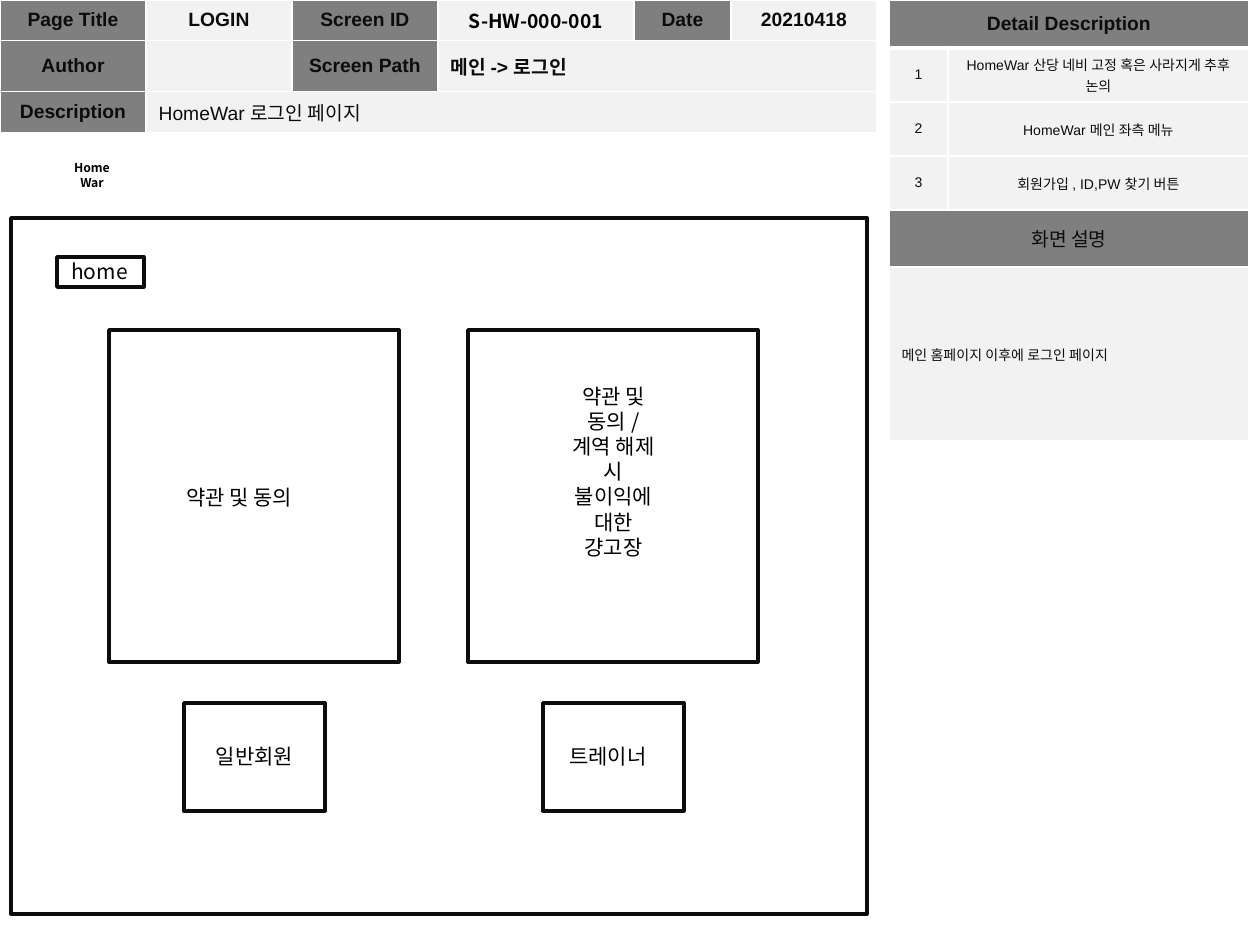
from lxml import etree
from pptx import Presentation
from pptx import util as u
from pptx.dml.color import RGBColor
from pptx.enum import shapes, text
from pptx.oxml.ns import qn

PX = 914400 // 126
INK, BLACK, WHITE = "0C0C0C", "000000", "FFFFFF"
DARK, PALE = "7F7F7F", "F2F2F2"
SANS, KOR = "Arial", "Noto Sans CJK KR"
MID, LEFT = text.PP_ALIGN.CENTER, text.PP_ALIGN.LEFT


def px(*vals):
    """Turn pixel lengths into EMU."""
    return [u.Emu(v * PX) for v in vals]


def paint(color, code):
    """Set a fill or font colour from a hex string."""
    color.rgb = RGBColor.from_string(code)


def write(frame, words, size, font=SANS, code=INK, bold=False, align=MID):
    """Write one paragraph, breaking lines at newlines."""
    para = frame.paragraphs[0]
    para.alignment = align
    for i, line in enumerate(words.split("\n")):
        if i:
            para.add_line_break()
        run = para.add_run()
        run.text = line
        run.font.size, run.font.bold, run.font.name = u.Pt(size), bold, font
        paint(run.font.color, code)
        east = etree.SubElement(run.font._element, qn("a:ea"))
        east.set("typeface", KOR)


def edge(cell, sides="LRTB", **wide):
    """Draw white borders on the given sides of a cell."""
    props = cell._tc.get_or_add_tcPr()
    for side in sides:
        line = etree.SubElement(props, qn(f"a:ln{side}"))
        line.set("w", str(u.Pt(wide.get(side, 1))))
        fill = etree.SubElement(line, qn("a:solidFill"))
        etree.SubElement(fill, qn("a:srgbClr")).set("val", WHITE)


def cell_at(grid, row, col, back, words="", size=11, span=1, **style):
    """Fill one table cell and merge it across its span."""
    cell = grid.cell(row, col)
    if span > 1:
        cell.merge(grid.cell(row, col + span - 1))
    cell.fill.solid()
    paint(cell.fill.fore_color, back)
    cell.vertical_anchor = text.MSO_ANCHOR.MIDDLE
    if words:
        write(cell.text_frame, words, size, **style)


def table(slide, left, cols, rows):
    """Add a plain table at the top of the slide."""
    box = px(left, 0, sum(cols), sum(rows))
    grid = slide.shapes.add_table(len(rows), len(cols), *box).table
    grid.horz_banding = grid.first_row = False
    for part, wide in zip(grid.columns, px(*cols)):
        part.width = wide
    for part, high in zip(grid.rows, px(*rows)):
        part.height = high
    return grid


def head(slide):
    """Build the page information table."""
    grid = table(slide, 0, [146, 146, 146, 196, 97, 146], [40, 48, 40])
    for cell in grid.iter_cells():
        edge(cell)
    top = ["Page Title", "LOGIN", "Screen ID", "S-HW-000-001", "Date", "20210418"]
    for col, words in enumerate(top):
        style = {"font": KOR, "code": BLACK} if col == 3 else {}
        cell_at(grid, 0, col, PALE if col % 2 else DARK, words, bold=True, **style)
    cell_at(grid, 1, 0, DARK, "Author", bold=True)
    cell_at(grid, 1, 1, PALE)
    cell_at(grid, 1, 2, DARK, "Screen Path", bold=True)
    cell_at(grid, 1, 3, PALE, "메인 -> 로그인", span=3, bold=True, align=LEFT)
    cell_at(grid, 2, 0, DARK, "Description", bold=True)
    cell_at(grid, 2, 1, PALE, "HomeWar 로그인 페이지", span=5, align=LEFT)


def side(slide):
    """Build the detail description table."""
    grid = table(slide, 889, [59, 301], [48, 54, 54, 54, 57, 174])
    for i, cell in enumerate(grid.iter_cells()):
        edge(cell, B=3 if i < 2 else 1)
    cell_at(grid, 0, 0, DARK, "Detail Description", span=2, bold=True)
    notes = ["HomeWar 산당 네비 고정 혹은 사라지게 추후 논의",
             "HomeWar 메인 좌측 메뉴", "회원가입 , ID,PW 찾기 버튼"]
    for row, words in enumerate(notes, 1):
        cell_at(grid, row, 0, PALE, str(row), 8)
        cell_at(grid, row, 1, PALE, words, 8)
    cell_at(grid, 4, 0, DARK, "화면 설명", span=2)
    cell_at(grid, 5, 0, PALE, "메인 홈페이지 이후에 로그인 페이지", 8, 2, align=LEFT)


def frame(slide, *box):
    """Add an outlined rectangle."""
    rect = slide.shapes.add_shape(shapes.MSO_SHAPE.RECTANGLE, *px(*box))
    rect.shadow.inherit = False
    rect.fill.background()
    paint(rect.line.color, INK)
    rect.line.width = u.Pt(2)


def label(slide, box, words, size=12, **style):
    """Add a wrapped text box."""
    area = slide.shapes.add_textbox(*px(*box)).text_frame
    area.word_wrap = True
    write(area, words, size, KOR, BLACK, **style)


def main():
    """Build the login wireframe slide."""
    deck = Presentation()
    deck.slide_width, deck.slide_height = px(1260, 945)
    slide = deck.slides.add_slide(deck.slide_layouts[6])
    head(slide)
    side(slide)
    frame(slide, 11, 218, 856, 696)
    frame(slide, 57, 257, 87, 30)
    for left in (109, 468):
        frame(slide, left, 330, 290, 332)
        frame(slide, left + 75, 703, 141, 108)
    label(slide, (60, 154, 64, 43), "Home\nWar", 7, bold=True)
    label(slide, (43, 252, 113, 38), "home")
    label(slide, (174, 478, 179, 38), "약관 및 동의", align=LEFT)
    label(slide, (557, 377, 113, 192),
          "약관 및 동의 / 계역 해제 시 불이익에\n대한\n걍고장")
    label(slide, (198, 737, 113, 38), "일반회원")
    label(slide, (557, 737, 113, 38), "트레이너", align=LEFT)
    deck.save("out.pptx")


if __name__ == "__main__":
    main()
